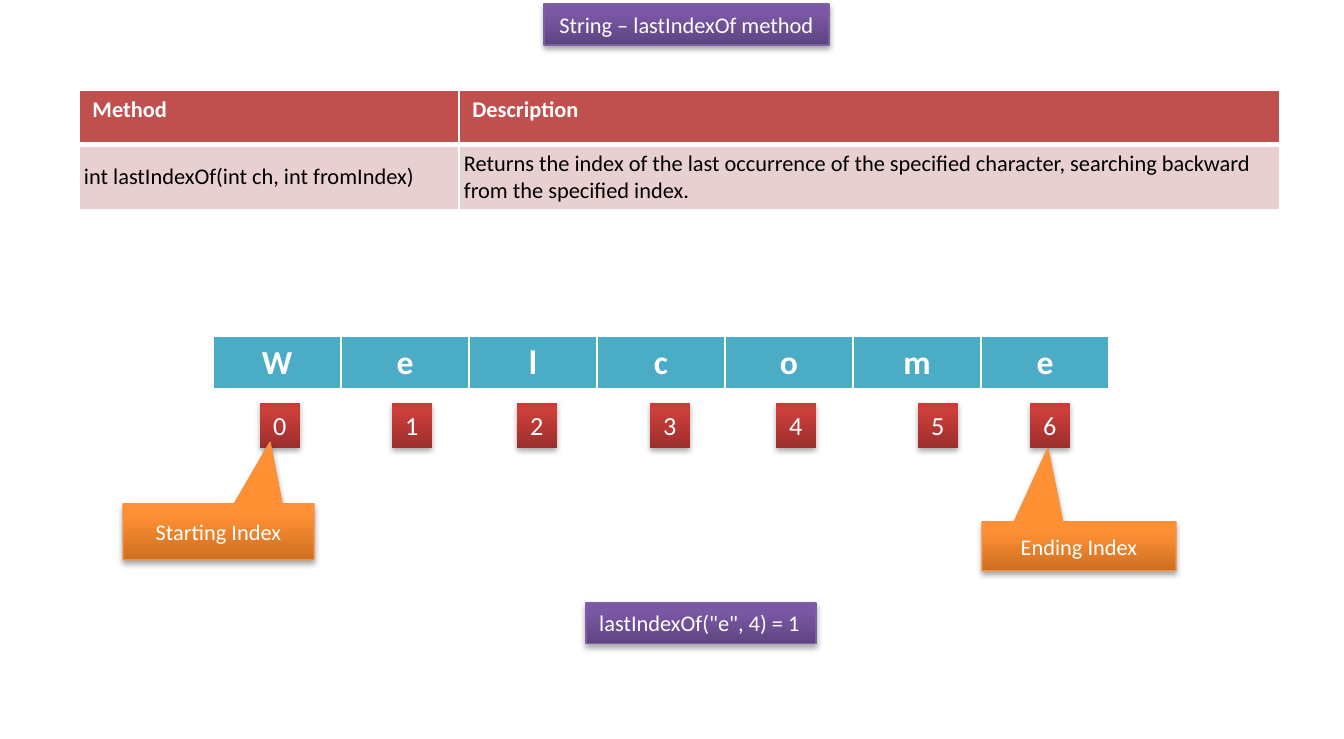
from copy import deepcopy

from lxml import etree
from pptx import Presentation
from pptx.dml.color import RGBColor
from pptx.enum import shapes, text
from pptx.oxml import ns
from pptx.util import Pt

PX = 914400 / 134.4
FONT = "Calibri"
WHITE = RGBColor(0xFF, 0xFF, 0xFF)
BLACK = RGBColor(0, 0, 0)
BRICK = RGBColor(0xC0, 0x50, 0x4D)
BLUSH = RGBColor(0xE8, 0xD0, 0xD0)
TEAL = RGBColor(0x4B, 0xAC, 0xC6)
VIOLET = RGBColor(0x7D, 0x60, 0xA0)
ORANGE = RGBColor(0xF6, 0x92, 0x40)

# Gradient colours from bottom to top
STOPS = (0, 0.8, 1)
VIOLETS = [RGBColor(0x5F, 0x44, 0x80), RGBColor(0x7B, 0x58, 0xA6), RGBColor(0x7C, 0x57, 0xA8)]
REDS = [RGBColor(0x9C, 0x2F, 0x2D), RGBColor(0xCB, 0x3E, 0x3A), RGBColor(0xCE, 0x3B, 0x37)]
AMBERS = [RGBColor(0xCC, 0x6E, 0x20), RGBColor(0xFF, 0x90, 0x34), RGBColor(0xFF, 0x91, 0x36)]

TITLE = ("String – lastIndexOf method", (544, 4, 285, 41))
RESULT = ('lastIndexOf("e", 4) = 1', (586, 603, 230, 41))
HEADS = ["Method", "Description"]
METHOD = [
    "int lastIndexOf(int ch, int fromIndex)",
    "Returns the index of the last occurrence of the specified character, "
    "searching backward from the specified index.",
]
WORD = "Welcome"
LEFTS = [260, 392, 517, 650, 776, 918, 1030]
CALLS = [
    ("Starting Index", (123, 504, 191, 56), (0.27, -1.6)),
    ("Ending Index", (982, 522, 194, 49), (-0.16, -2)),
]


def px(*sizes):
    return [round(size * PX) for size in sizes]


def write(frame, words, size=12, color=WHITE, bold=False, align=text.PP_ALIGN.LEFT):
    para = frame.paragraphs[0]
    para.alignment = align
    run = para.add_run()
    run.text = words
    font = run.font
    font.name, font.size, font.bold = FONT, Pt(size), bold
    font.color.rgb = color


def gloss(shape, colors, edge=None):
    """Give a shape its gradient, edge and soft drop shadow."""
    fill = shape.fill
    fill.gradient()
    fill.gradient_angle = 90
    stops = shape._element.spPr.find(".//" + ns.qn("a:gsLst"))
    stops.append(deepcopy(stops[-1]))
    for stop, place, color in zip(fill.gradient_stops, STOPS, colors):
        stop.position = place
        stop.color.rgb = color
    if edge is None:
        shape.line.fill.background()
    else:
        shape.line.color.rgb = edge
        shape.line.width = Pt(0.75)
    shape.shadow.inherit = False
    effects = shape._element.spPr.find(ns.qn("a:effectLst"))
    shade = etree.SubElement(effects, ns.qn("a:outerShdw"), blurRad="40000",
                             dist="23000", dir="5400000", rotWithShape="0")
    tint = etree.SubElement(shade, ns.qn("a:srgbClr"), val="000000")
    etree.SubElement(tint, ns.qn("a:alpha"), val="35000")


def label(slide, words, box, colors, edge=None, size=12):
    shape = slide.shapes.add_shape(shapes.MSO_SHAPE.RECTANGLE, *px(*box))
    gloss(shape, colors, edge)
    frame = shape.text_frame
    frame.word_wrap = False
    frame.auto_size = text.MSO_AUTO_SIZE.SHAPE_TO_FIT_TEXT
    frame.vertical_anchor = text.MSO_ANCHOR.TOP
    write(frame, words, size=size)


def grid(slide, left, top, widths, rows, high=55):
    """Add a table and return its cells row by row."""
    box = px(left, top, sum(widths), high * rows)
    table = slide.shapes.add_table(rows, len(widths), *box).table
    for col, width in zip(table.columns, px(*widths)):
        col.width = width
    return [list(row.cells) for row in table.rows]


def paint(cell, color):
    cell.fill.solid()
    cell.fill.fore_color.rgb = color


def rule(cell):
    """Draw the thick white line under a heading cell."""
    props = cell._tc.get_or_add_tcPr()
    line = etree.Element(ns.qn("a:lnB"), w=str(Pt(3)))
    solid = etree.SubElement(line, ns.qn("a:solidFill"))
    etree.SubElement(solid, ns.qn("a:srgbClr"), val=str(WHITE))
    props.insert(0, line)


def main():
    deck = Presentation()
    deck.slide_width, deck.slide_height = px(1344, 739.2)
    slide = deck.slides.add_slide(deck.slide_layouts[5])
    center = text.PP_ALIGN.CENTER

    words, box = TITLE
    title = slide.shapes.title
    title.left, title.top, title.width, title.height = px(*box)
    gloss(title, VIOLETS, VIOLET)
    title.text_frame.auto_size = text.MSO_AUTO_SIZE.NONE
    title.text_frame.vertical_anchor = text.MSO_ANCHOR.TOP
    write(title.text_frame, words, align=center)

    heads, body = grid(slide, 79, 90, [380, 821], 2)
    for cell, words in zip(heads, HEADS):
        paint(cell, BRICK)
        rule(cell)
        write(cell.text_frame, words, bold=True)
    for cell, words in zip(body, METHOD):
        paint(cell, BLUSH)
        cell.vertical_anchor = text.MSO_ANCHOR.MIDDLE
        pad, = px(5)
        cell.margin_left = cell.margin_right = pad
        cell.margin_top = cell.margin_bottom = pad
        write(cell.text_frame, words, color=BLACK)

    letters, = grid(slide, 213, 336, [128] * len(WORD), 1)
    for cell, letter in zip(letters, WORD):
        paint(cell, TEAL)
        rule(cell)
        write(cell.text_frame, letter, size=18, bold=True, align=center)

    for index, left in enumerate(LEFTS):
        label(slide, str(index), (left, 403, 40, 45), REDS, size=14)

    for words, box, tip in CALLS:
        call = slide.shapes.add_shape(shapes.MSO_SHAPE.RECTANGULAR_CALLOUT, *px(*box))
        call.adjustments[0], call.adjustments[1] = tip
        gloss(call, AMBERS, ORANGE)
        call.text_frame.vertical_anchor = text.MSO_ANCHOR.MIDDLE
        write(call.text_frame, words, align=center)

    label(slide, *RESULT, VIOLETS, VIOLET)
    deck.save("out.pptx")


if __name__ == "__main__":
    main()
